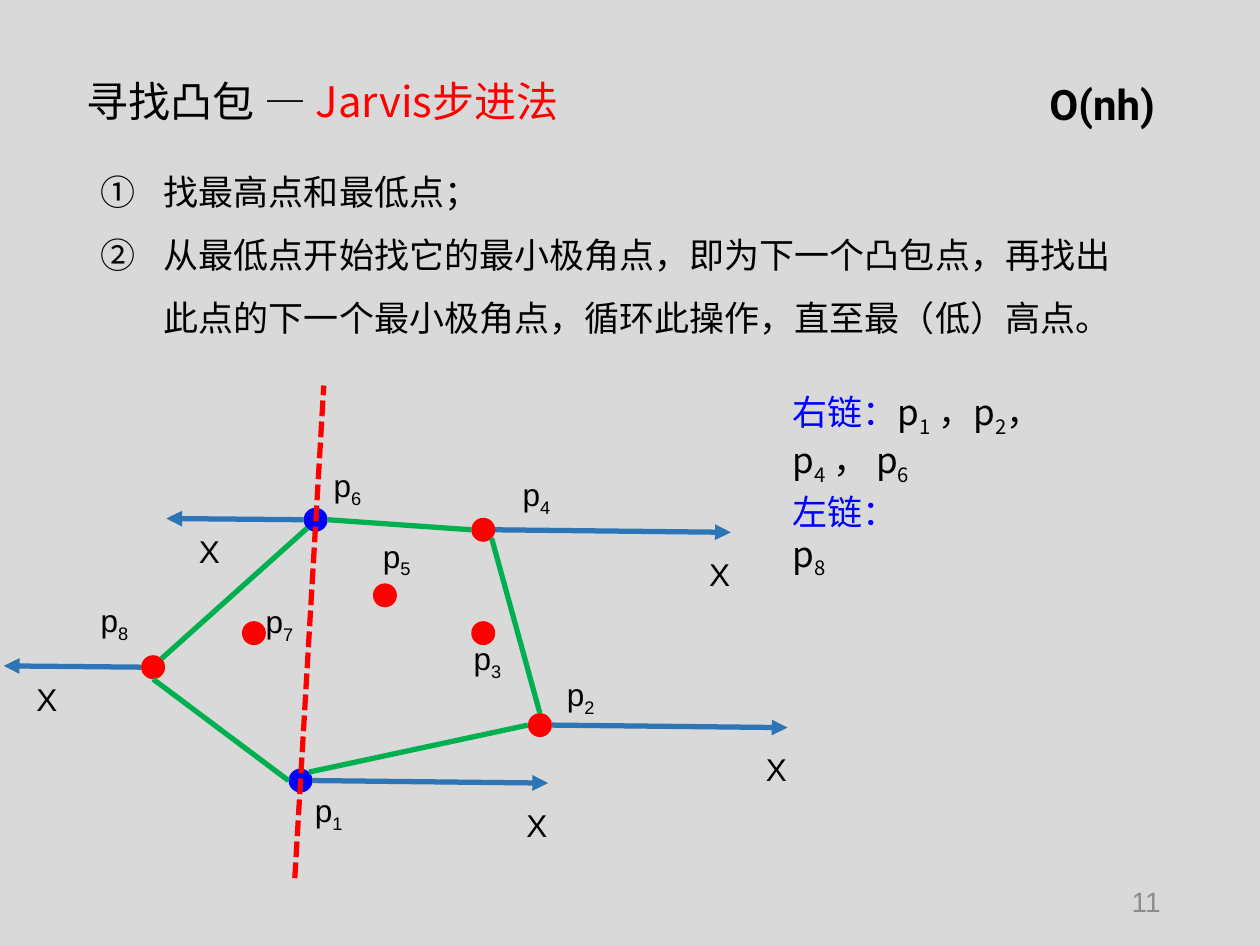
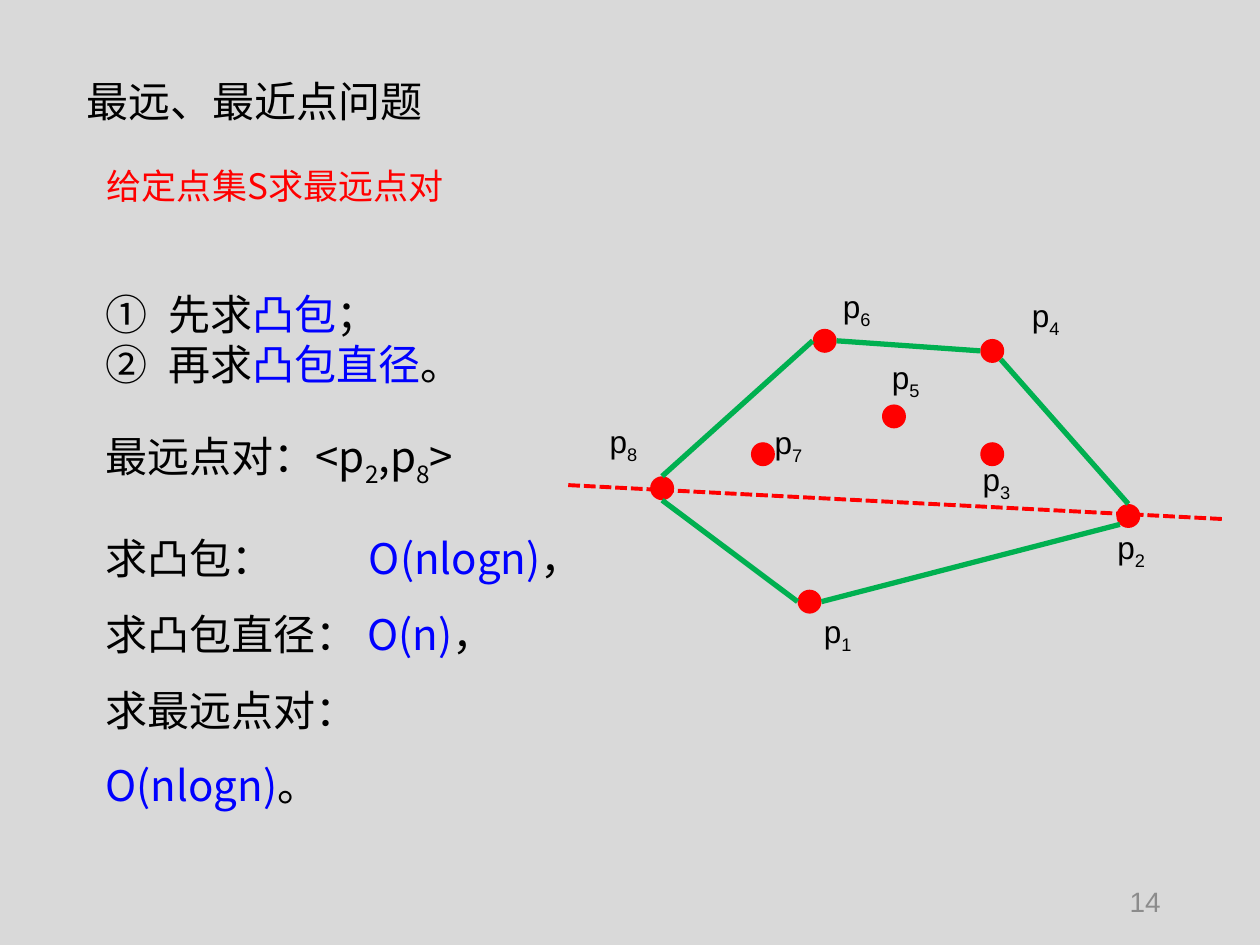
import math

import lxml.etree
import pptx
import pptx.dml.color
import pptx.enum.dml
import pptx.enum.shapes
import pptx.enum.text
import pptx.oxml.ns
import pptx.util
from pptx.util import Inches

BLACK, RED, BLUE, GREEN = "000000", "FF0000", "0000FF", "00B050"
RAY_BLUE, GRAY, BACKGROUND = "2E75B6", "8C8C8C", "D9D9D9"
CHINESE, LATIN, BOLD_LATIN = "Noto Sans CJK SC", "Arial", "Roboto"
ALIGN = pptx.enum.text.PP_ALIGN
ANCHOR = pptx.enum.text.MSO_ANCHOR

DOT = 0.19
POINTS = {1: (1.59, 2.45), 2: (3.49, 2.01), 3: (3.04, 1.28), 4: (3.04, 0.46),
          5: (2.26, 0.98), 6: (1.71, 0.38), 7: (1.22, 1.28), 8: (0.42, 1.55)}
LABEL_OFFSETS = {1: (0.11, 0.13), 2: (0.21, -0.35), 3: (-0.08, 0.09), 4: (0.31, -0.39),
                 5: (-0.02, -0.42), 6: (0.14, -0.38), 7: (0.09, -0.2), 8: (-0.42, -0.48)}
RIGHT, BOTTOM_RIGHT, BOTTOM, BOTTOM_LEFT, LEFT, TOP, TOP_RIGHT = 0, 45, 90, 135, 180, 270, 315


def rgb(color):
    """Turn a hex string into a colour."""
    return pptx.dml.color.RGBColor.from_string(color)


def add_xml(parent, tag, **attributes):
    """Append a DrawingML element to a parent."""
    return lxml.etree.SubElement(parent, pptx.oxml.ns.qn(tag), attributes)


def place(shape, box):
    """Move a shape to a box of left, top, width and height."""
    shape.left, shape.top, shape.width, shape.height = map(Inches, box)


def write_run(paragraph, text, color, subscript=False):
    """Add one coloured run, lowered when it is a subscript."""
    run = paragraph.add_run()
    run.text = text
    run.font.color.rgb = rgb(color)
    if subscript:
        run._r.get_or_add_rPr().set("baseline", "-25000")


def write_pieces(paragraph, pieces):
    """Write (text, colour) pieces; an underscore lowers the next character."""
    for text, color in pieces:
        if text == "\v":
            paragraph.add_line_break()
            continue
        plain, *lowered = text.split("_")
        if plain:
            write_run(paragraph, plain, color)
        for part in lowered:
            write_run(paragraph, part[0], color, True)
            if part[1:]:
                write_run(paragraph, part[1:], color)


def fill_text(shape, paragraphs, size, font=CHINESE, spacing=1.0, align=ALIGN.LEFT,
              anchor=ANCHOR.TOP, numbered=False, tab=None, bold=False):
    """Fill a shape with formatted paragraphs of coloured pieces."""
    frame = shape.text_frame
    frame.word_wrap = True
    frame.auto_size = pptx.enum.text.MSO_AUTO_SIZE.NONE
    frame.vertical_anchor = anchor
    for index, pieces in enumerate(paragraphs):
        paragraph = frame.paragraphs[0] if index == 0 else frame.add_paragraph()
        paragraph.alignment = align
        paragraph.line_spacing = spacing
        paragraph.space_before = pptx.util.Pt(0)
        properties = paragraph._p.get_or_add_pPr()
        if numbered:
            properties.set("marL", str(Inches(0.5)))
            properties.set("indent", str(Inches(-0.5)))
            add_xml(properties, "a:buFont", typeface=CHINESE)
            add_xml(properties, "a:buAutoNum", type="circleNumDbPlain")
        if tab:
            stops = add_xml(properties, "a:tabLst")
            add_xml(stops, "a:tab", pos=str(Inches(tab)), algn="l")
        write_pieces(paragraph, pieces)
        for text_font in (paragraph.font, *(run.font for run in paragraph.runs)):
            text_font.size = pptx.util.Pt(size)
            text_font.name = font
            text_font.bold = bold
        for run in paragraph.runs:
            add_xml(run._r.get_or_add_rPr(), "a:ea", typeface=CHINESE)


def add_text(slide, box, paragraphs, size, **options):
    """Add a text box."""
    shape = slide.shapes.add_textbox(*map(Inches, box))
    fill_text(shape, paragraphs, size, **options)


def add_line(slide, start, end, color, width=3, dashed=False, arrow=False):
    """Add a straight line, optionally dashed or ending in an arrow."""
    line = slide.shapes.add_connector(
        pptx.enum.shapes.MSO_CONNECTOR.STRAIGHT, *map(Inches, (*start, *end)))
    line.line.color.rgb = rgb(color)
    line.line.width = pptx.util.Pt(width)
    if dashed:
        line.line.dash_style = pptx.enum.dml.MSO_LINE.SQUARE_DOT
    if arrow:
        add_xml(line.line._get_or_add_ln(), "a:tailEnd", type="triangle")
    add_xml(line._element.spPr, "a:effectLst")


def rim(position, angle):
    """Give the spot on a dot's rim at an angle, clockwise from the right."""
    radius, turn = DOT / 2, math.radians(angle)
    return (position[0] + radius + radius * math.cos(turn),
            position[1] + radius + radius * math.sin(turn))


def add_ray(slide, position, angle):
    """Add a polar axis that leaves a dot to the left or right, marked X."""
    start = rim(position, angle)
    step, label_shift = ((1.87, 0.02), (-0.27, 0.13)) if angle == RIGHT else (
        (-1.09, -0.01), (0.16, 0.06))
    end = (start[0] + step[0], start[1] + step[1])
    add_line(slide, start, end, RAY_BLUE, arrow=True)
    add_text(slide, (end[0] + label_shift[0], end[1] + label_shift[1], 0.42, 0.4),
             [[("X", BLACK)]], 18, font=LATIN)


def add_hull(slide, origin, edges, moved=None, moved_labels=None, blue=(), rays=None):
    """Draw the point set, its labels, hull edges and polar axes."""
    positions = {number: (origin[0] + x, origin[1] + y)
                 for number, (x, y) in {**POINTS, **(moved or {})}.items()}
    offsets = {**LABEL_OFFSETS, **(moved_labels or {})}
    for number, angle in (rays or {}).items():
        add_ray(slide, positions[number], angle)
    for number, (left, top) in positions.items():
        dot = slide.shapes.add_shape(pptx.enum.shapes.MSO_SHAPE.FLOWCHART_CONNECTOR,
                                     *map(Inches, (left, top, DOT, DOT)))
        dot.shadow.inherit = False
        dot.fill.solid()
        dot.fill.fore_color.rgb = rgb(BLUE if number in blue else RED)
        dot.line.fill.background()
        shift_x, shift_y = offsets[number]
        add_text(slide, (left + shift_x, top + shift_y, 0.55, 0.4),
                 [[(f"p_{number}", BLACK)]], 18, font=LATIN)
    for first, first_angle, second, second_angle in edges:
        add_line(slide, rim(positions[first], first_angle),
                 rim(positions[second], second_angle), GREEN)


def add_slide(presentation, title, title_width, number, items, items_box, size, spacing):
    """Add a slide with its title, numbered list and page number."""
    slide = presentation.slides.add_slide(presentation.slide_layouts[1])
    heading, body = slide.placeholders
    place(heading, (0.59, 0.49, title_width, 0.67))
    fill_text(heading, [title], 24, font=LATIN, spacing=0.9, anchor=ANCHOR.MIDDLE)
    for run in heading.text_frame.paragraphs[0].runs[1:]:
        run.font.name = CHINESE
    place(body, items_box)
    fill_text(body, items, size, spacing=spacing, numbered=True)
    add_text(slide, (7.06, 6.95, 2.25, 0.4), [[(number, GRAY)]], 16, font=LATIN,
             align=ALIGN.RIGHT, anchor=ANCHOR.MIDDLE)
    return slide


def build_jarvis_slide(presentation):
    """Build the slide on the Jarvis march."""
    slide = add_slide(
        presentation, [("寻找凸包 — ", BLACK), ("Jarvis步进法", RED)], 6.38, "11",
        [[("找最高点和最低点；", BLACK)],
         [("从最低点开始找它的最小极角点，即为下一个凸包点，再找出"
           "此点的下一个最小极角点，循环此操作，直至最（低）高点。", BLACK)]],
        (0.7, 1.14, 8.24, 1.62), 20, 1.5)
    add_hull(slide, (0.7, 3.65),
             [(1, TOP_RIGHT, 2, LEFT), (2, TOP, 4, BOTTOM_RIGHT), (4, LEFT, 6, RIGHT),
              (6, BOTTOM_LEFT, 8, TOP_RIGHT), (8, BOTTOM, 1, LEFT)],
             blue=(1, 6), rays={6: LEFT, 8: LEFT, 1: RIGHT, 2: RIGHT, 4: RIGHT})
    add_line(slide, (2.34, 6.97), (2.57, 3.06), RED, dashed=True)
    add_text(slide, (6.19, 3.05, 3.14, 0.84),
             [[("右链：", BLUE), ("p_1 ，p_2，", BLACK), ("\v", BLACK),
               ("p_4 ， p_6", BLACK)]], 20)
    add_text(slide, (6.19, 3.84, 1.27, 0.84),
             [[("左链：", BLUE), ("\v", BLACK), ("p_8", BLACK)]], 20)
    add_text(slide, (8.23, 0.57, 1.09, 0.51), [[("O(nh)", BLACK)]], 24,
             font=BOLD_LATIN, bold=True)


def build_farthest_slide(presentation):
    """Build the slide on the farthest pair of points."""
    slide = add_slide(
        presentation, [("最远、最近点问题", BLACK)], 3.52, "14",
        [[("先求", BLACK), ("凸包", BLUE), ("；", BLACK)],
         [("再求", BLACK), ("凸包直径", BLUE), ("。", BLACK)]],
        (0.74, 2.24, 3.98, 0.91), 24, 1.0)
    add_text(slide, (0.75, 1.26, 4.41, 0.44), [[("给定点集S求最远点对", RED)]], 20)
    add_line(slide, (4.51, 3.85), (9.71, 4.12), RED, width=2.25, dashed=True)
    add_text(slide, (0.74, 3.37, 3.05, 0.51), [[("最远点对：<p_2,p_8>", BLACK)]], 24)
    add_text(slide, (0.74, 3.98, 4.06, 2.52),
             [[("求凸包：\t", BLACK), ("O(nlogn)", BLUE), ("，", BLACK)],
              [("求凸包直径： ", BLACK), ("O(n)", BLUE), ("，", BLACK)],
              [("求最远点对：", BLACK), ("\v", BLACK), ("O(nlogn)", BLUE), ("。", BLACK)]],
             24, spacing=1.5, tab=2.09)
    add_hull(slide, (4.74, 2.23),
             [(1, RIGHT, 2, BOTTOM_LEFT), (4, BOTTOM_RIGHT, 2, TOP), (6, RIGHT, 4, LEFT),
              (8, TOP, 6, LEFT), (8, BOTTOM, 1, LEFT)],
             moved={2: (4.12, 1.77)}, moved_labels={2: (-0.09, 0.14)})


def main():
    """Build and save the presentation."""
    presentation = pptx.Presentation()
    presentation.slide_width, presentation.slide_height = Inches(10), Inches(7.5)
    background = presentation.slide_master.background.fill
    background.solid()
    background.fore_color.rgb = rgb(BACKGROUND)
    build_jarvis_slide(presentation)
    build_farthest_slide(presentation)
    presentation.save("out.pptx")


main()
